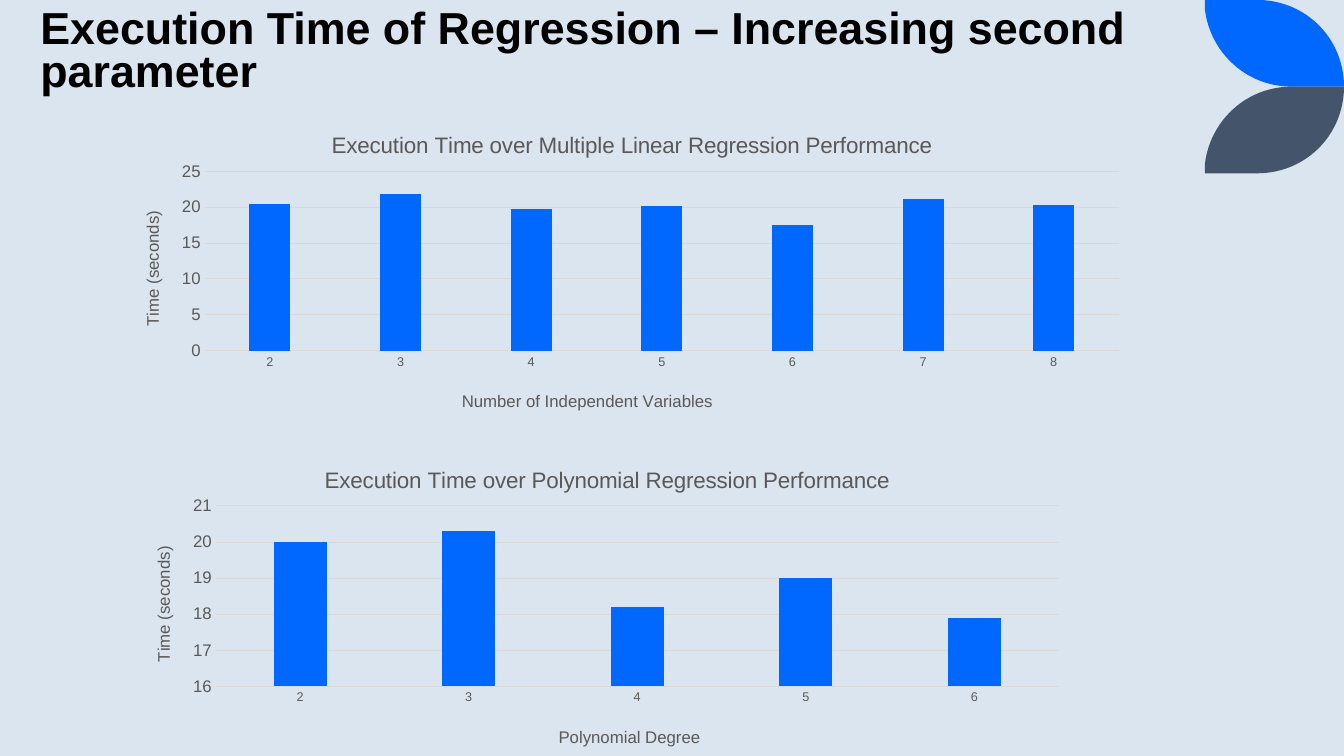
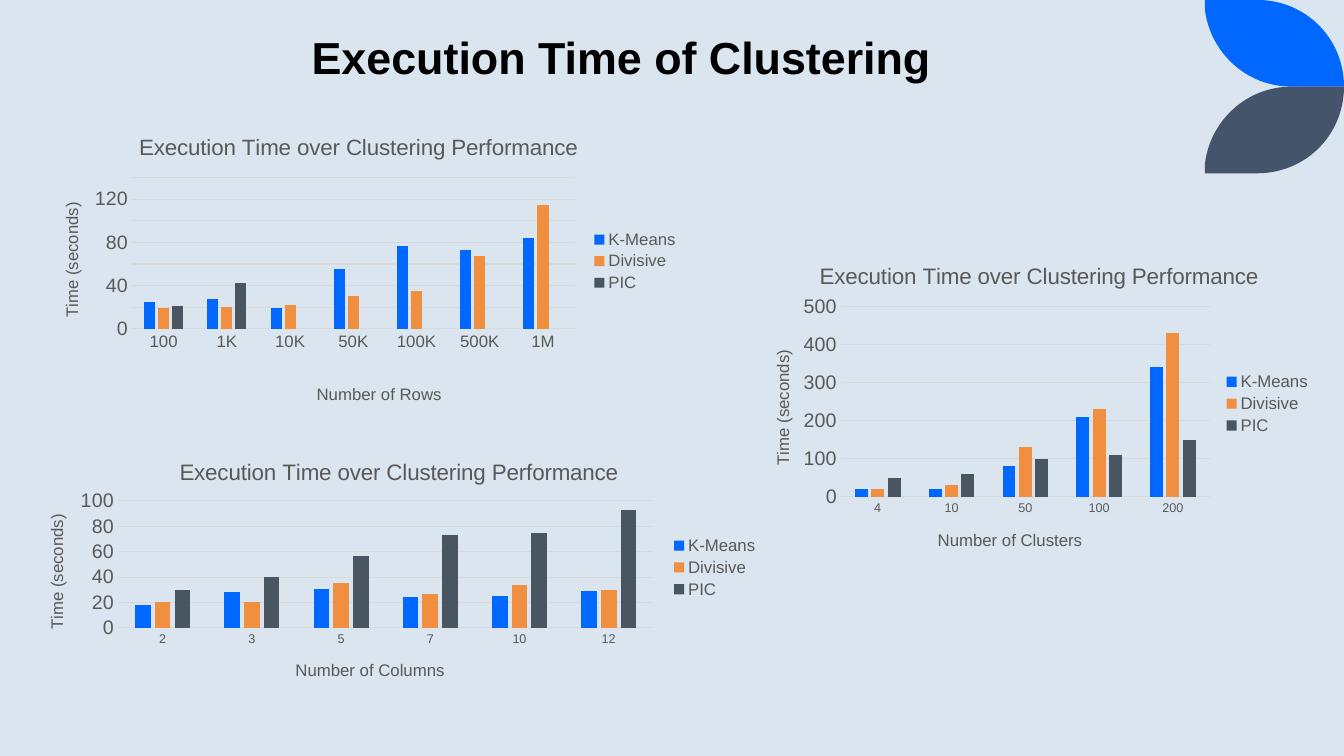
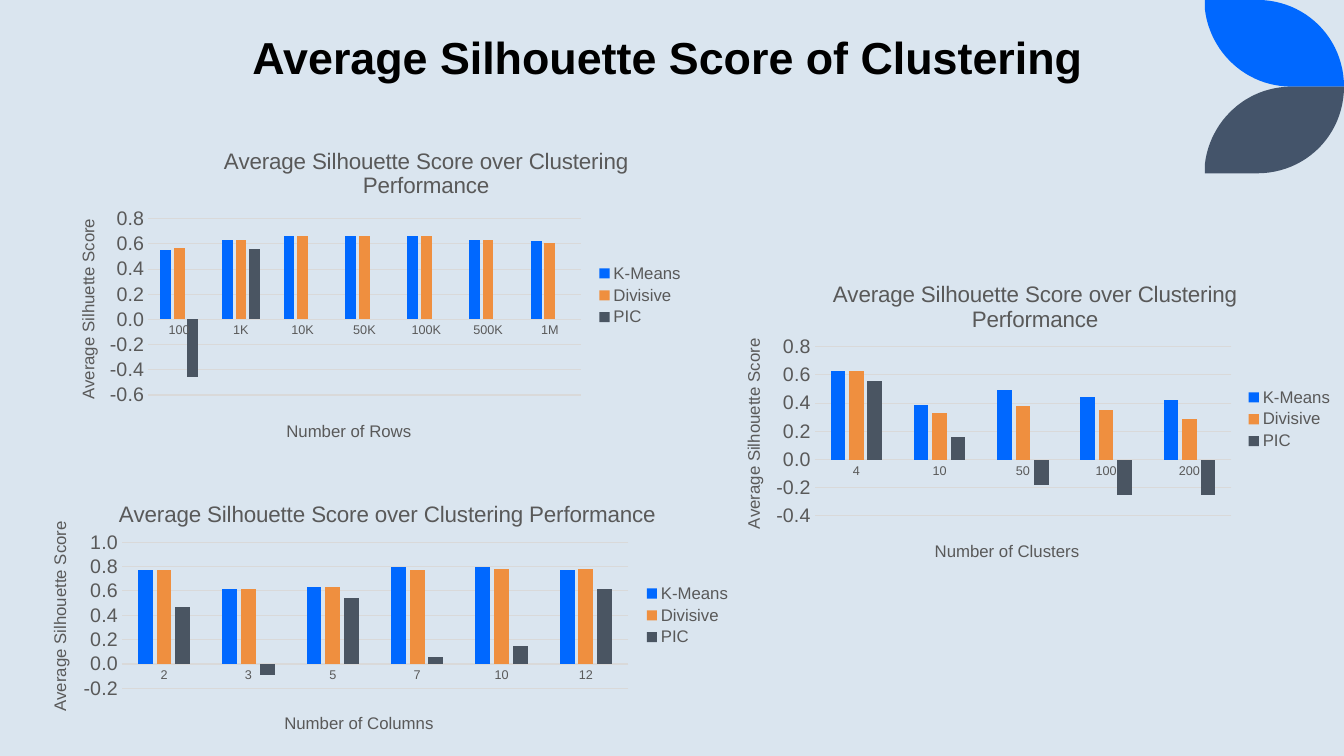
from dataclasses import dataclass

from lxml.etree import SubElement
from pptx import Presentation
from pptx.chart.data import CategoryChartData
from pptx.dml.color import RGBColor
from pptx.enum.chart import XL_CHART_TYPE, XL_LEGEND_POSITION, XL_TICK_MARK
from pptx.enum.text import MSO_ANCHOR, MSO_AUTO_SIZE, PP_ALIGN
from pptx.oxml.ns import qn
from pptx.util import Inches, Pt


@dataclass(frozen=True)
class Theme:
    font: str = "Arial"
    background: str = "DAE5EF"
    upper_leaf: str = "0068FF"
    lower_leaf: str = "44546A"
    heading: str = "000000"
    chart_text: str = "595959"
    grid: str = "D9D9D9"
    series: tuple = ("0068FF", "EF8F3F", "4A5562")
    heading_size: int = 32
    chart_title_size: int = 16
    label_size: int = 12
    small_label_size: int = 9
    large_label_size: int = 14


THEME = Theme()
ALGORITHMS = ("K-Means", "Divisive", "PIC")
ROWS = ("100", "1K", "10K", "50K", "100K", "500K", "1M")
COLUMNS = ("2", "3", "5", "7", "10", "12")
CLUSTERS = ("4", "10", "50", "100", "200")
CLUSTERING_TIME = "Execution Time over Clustering Performance"
CLUSTERING_SCORE = "Average Silhouette Score over Clustering Performance"
SECONDS = "Time (seconds)"
SCORE = "Average Silhouette Score"


@dataclass
class BarChart:
    """Content and placement of one chart; all places are slide inches."""
    box: tuple             # left, top, width, height
    plot: tuple            # left, top, right, bottom
    title: str
    title_at: tuple
    category_title: str
    category_title_at: tuple
    value_title: str
    value_title_at: tuple
    categories: tuple
    series: dict
    scale: tuple           # minimum, maximum, step
    number_format: str = "0"
    category_size: int = THEME.small_label_size
    value_size: int = THEME.large_label_size


def by_algorithm(*values):
    return dict(zip(ALGORITHMS, values))


def color(code):
    return RGBColor.from_string(code)


def style_font(font, size, code, bold=False):
    font.name, font.size, font.bold = THEME.font, Pt(size), bold
    font.color.rgb = color(code)


def curve(*points, steps=24):
    """Points along a cubic Bezier curve."""
    def at(t):
        weights = ((1 - t) ** 3, 3 * t * (1 - t) ** 2, 3 * t * t * (1 - t), t ** 3)
        return tuple(sum(w * p[i] for w, p in zip(weights, points)) for i in (0, 1))
    return [at(step / steps) for step in range(steps + 1)]


def add_leaves(slide, layout):
    """Draw the corner leaves and move them to the layout."""
    middle = 0.86
    outline = [(11.95, 0)]
    outline += curve((12.47, 0), (12.95, 0), (13.33, 0.38), (13.33, middle))
    outline += curve((12.81, middle), (12.36, middle), (12, 0.52), (11.95, 0.09))
    mirrored = [(x, 2 * middle - y) for x, y in outline]
    for points, fill in ((outline, THEME.upper_leaf), (mirrored, THEME.lower_leaf)):
        (start_x, start_y), *rest = [(Inches(x), Inches(y)) for x, y in points]
        builder = slide.shapes.build_freeform(start_x, start_y)
        builder.add_line_segments(rest, close=True)
        leaf = builder.convert_to_shape()
        leaf.shadow.inherit = False
        leaf.fill.solid()
        leaf.fill.fore_color.rgb = color(fill)
        leaf.line.fill.background()
        layout.shapes.element.append(leaf.element)


def set_heading(slide, text, box, align=PP_ALIGN.CENTER):
    heading = slide.shapes.title
    heading.left, heading.top, heading.width, heading.height = map(Inches, box)
    frame = heading.text_frame
    frame.text = text
    frame.word_wrap = True
    frame.auto_size = MSO_AUTO_SIZE.NONE
    frame.vertical_anchor = MSO_ANCHOR.BOTTOM
    paragraph = frame.paragraphs[0]
    paragraph.alignment = align
    paragraph.line_spacing = 0.8
    style_font(paragraph.font, THEME.heading_size, THEME.heading, bold=True)


def set_layout(parent, index, box, corner, far_corner=None):
    """Fix a chart part at slide inches, as fractions of the chart box."""
    for previous in parent.findall(qn("c:layout")):
        parent.remove(previous)
    left, top, width, height = box
    x, y = corner
    settings = {"xMode": "edge", "yMode": "edge",
                "x": (x - left) / width, "y": (y - top) / height}
    if far_corner:
        settings = {"layoutTarget": "inner", **settings,
                    "w": (far_corner[0] - x) / width,
                    "h": (far_corner[1] - y) / height}
    layout = SubElement(parent, qn("c:layout"))
    manual = SubElement(layout, qn("c:manualLayout"))
    for tag, value in settings.items():
        text = value if isinstance(value, str) else f"{value:.4f}"
        SubElement(manual, qn(f"c:{tag}")).set("val", text)
    parent.insert(index, layout)


def set_chart_label(label, text, size, box, corner, rotated=False):
    label.text_frame.text = text
    style_font(label.text_frame.paragraphs[0].font, size, THEME.chart_text)
    set_layout(label.element, 1, box, corner)
    if rotated:
        body = label.element.find(".//" + qn("a:bodyPr"))
        body.set("rot", "-5400000")
        body.set("vert", "horz")


def style_axis(axis, size):
    axis.major_tick_mark = axis.minor_tick_mark = XL_TICK_MARK.NONE
    style_font(axis.tick_labels.font, size, THEME.chart_text)


def style_line(line):
    line.color.rgb = color(THEME.grid)
    line.width = Pt(0.75)


def add_bar_chart(slide, content):
    data = CategoryChartData()
    data.categories = content.categories
    for name, values in content.series.items():
        gaps = len(content.categories) - len(values)
        data.add_series(name, (*values, *[None] * gaps))
    box = content.box
    chart = slide.shapes.add_chart(
        XL_CHART_TYPE.COLUMN_CLUSTERED, *map(Inches, box), data).chart
    style_font(chart.font, 10, THEME.heading)
    set_chart_label(chart.chart_title, content.title, THEME.chart_title_size,
                    box, content.title_at)
    chart.chart_title.include_in_layout = False

    bars = chart.plots[0]
    bars.gap_width, bars.overlap, bars.vary_by_categories = 219, -27, False
    for series, fill in zip(bars.series, THEME.series):
        series.format.fill.solid()
        series.format.fill.fore_color.rgb = color(fill)
        series.invert_if_negative = False
    set_layout(chart.element.find(".//" + qn("c:plotArea")), 0, box,
               content.plot[:2], content.plot[2:])

    category_axis, value_axis = chart.category_axis, chart.value_axis
    style_axis(category_axis, content.category_size)
    style_line(category_axis.format.line)
    set_chart_label(category_axis.axis_title, content.category_title,
                    THEME.label_size, box, content.category_title_at)
    style_axis(value_axis, content.value_size)
    value_axis.format.line.fill.background()
    style_line(value_axis.major_gridlines.format.line)
    (value_axis.minimum_scale, value_axis.maximum_scale,
     value_axis.major_unit) = content.scale
    value_axis.tick_labels.number_format = content.number_format
    value_axis.tick_labels.number_format_is_linked = False
    set_chart_label(value_axis.axis_title, content.value_title, THEME.label_size,
                    box, content.value_title_at, rotated=True)

    chart.has_legend = len(content.series) > 1
    if chart.has_legend:
        chart.legend.position = XL_LEGEND_POSITION.RIGHT
        chart.legend.include_in_layout = False
        style_font(chart.legend.font, THEME.label_size, THEME.chart_text)


REGRESSION_CHARTS = (
    BarChart(
        box=(1.16, 1.1, 10.15, 3.08), plot=(2.03, 1.7, 11.1, 3.48),
        title="Execution Time over Multiple Linear Regression Performance",
        title_at=(3.25, 1.26),
        category_title="Number of Independent Variables",
        category_title_at=(4.55, 3.85),
        value_title=SECONDS, value_title_at=(1.38, 2.06),
        categories=("2", "3", "4", "5", "6", "7", "8"),
        series={"Series 1": (20.4, 21.9, 19.7, 20.1, 17.5, 21.1, 20.3)},
        scale=(0, 25, 5), value_size=THEME.label_size),
    BarChart(
        box=(1.27, 4.42, 9.42, 3.08), plot=(2.14, 5.02, 10.5, 6.81),
        title="Execution Time over Polynomial Regression Performance",
        title_at=(3.18, 4.58),
        category_title="Polynomial Degree", category_title_at=(5.51, 7.18),
        value_title=SECONDS, value_title_at=(1.49, 5.39),
        categories=("2", "3", "4", "5", "6"),
        series={"Series 1": (20, 20.3, 18.2, 19, 17.9)},
        scale=(16, 21, 1), value_size=THEME.label_size),
)

TIME_CHARTS = (
    BarChart(
        box=(0.36, 1.17, 6.48, 2.88), plot=(1.31, 1.77, 5.7, 3.29),
        title=CLUSTERING_TIME, title_at=(1.34, 1.28),
        category_title="Number of Rows", category_title_at=(3.11, 3.81),
        value_title=SECONDS, value_title_at=(0.58, 2),
        categories=ROWS,
        series=by_algorithm((25, 28, 19, 55, 77, 73, 84),
                            (19, 20, 22, 30, 35, 67, 115), (21, 42)),
        scale=(0, 140, 20), category_size=THEME.label_size),
    BarChart(
        box=(0.2, 4.34, 7.43, 2.58), plot=(1.17, 4.97, 6.48, 6.23),
        title=CLUSTERING_TIME, title_at=(1.74, 4.5),
        category_title="Number of Columns", category_title_at=(2.9, 6.52),
        value_title=SECONDS, value_title_at=(0.43, 5.07),
        categories=COLUMNS,
        series=by_algorithm((18, 28, 31, 24, 25, 29), (20, 20, 35, 27, 34, 30),
                            (30, 40, 57, 73, 75, 93)),
        scale=(0, 100, 20)),
    BarChart(
        box=(7.4, 2.38, 5.71, 3.25), plot=(8.34, 3.04, 12, 4.93),
        title=CLUSTERING_TIME, title_at=(8.09, 2.56),
        category_title="Number of Clusters", category_title_at=(9.27, 5.23),
        value_title=SECONDS, value_title_at=(7.63, 3.44),
        categories=CLUSTERS,
        series=by_algorithm((20, 20, 80, 210, 340), (20, 30, 130, 230, 430),
                            (50, 60, 100, 110, 150)),
        scale=(0, 500, 100)),
)

SCORE_CHARTS = (
    BarChart(
        box=(0.5, 1.31, 6.39, 3.24), plot=(1.47, 2.17, 5.76, 3.92),
        title=CLUSTERING_SCORE, title_at=(2.18, 1.42),
        category_title="Number of Rows", category_title_at=(2.81, 4.14),
        value_title="Average Silhuette Score", value_title_at=(0.74, 2.14),
        categories=ROWS,
        series=by_algorithm((0.55, 0.63, 0.66, 0.66, 0.66, 0.63, 0.62),
                            (0.57, 0.63, 0.66, 0.66, 0.66, 0.63, 0.61),
                            (-0.46, 0.56)),
        scale=(-0.6, 0.8, 0.2), number_format="0.0"),
    BarChart(
        box=(0.23, 4.77, 7.13, 2.67), plot=(1.21, 5.38, 6.23, 6.83),
        title=CLUSTERING_SCORE, title_at=(1.14, 4.92),
        category_title="Number of Columns", category_title_at=(2.79, 7.04),
        value_title=SCORE, value_title_at=(0.46, 5.14),
        categories=COLUMNS,
        series=by_algorithm((0.77, 0.62, 0.63, 0.8, 0.8, 0.77),
                            (0.77, 0.62, 0.63, 0.77, 0.78, 0.78),
                            (0.47, -0.09, 0.54, 0.06, 0.15, 0.62)),
        scale=(-0.2, 1, 0.2), number_format="0.0"),
    BarChart(
        box=(7.12, 2.58, 6.21, 3.16), plot=(8.08, 3.44, 12.21, 5.12),
        title=CLUSTERING_SCORE, title_at=(8.22, 2.74),
        category_title="Number of Clusters", category_title_at=(9.24, 5.34),
        value_title=SCORE, value_title_at=(7.34, 3.33),
        categories=CLUSTERS,
        series=by_algorithm((0.63, 0.39, 0.49, 0.44, 0.42),
                            (0.63, 0.33, 0.38, 0.35, 0.29),
                            (0.56, 0.16, -0.18, -0.25, -0.25)),
        scale=(-0.4, 0.8, 0.2), number_format="0.0"),
)


def main():
    deck = Presentation()
    deck.slide_width, deck.slide_height = Inches(13.33), Inches(7.5)
    layout = deck.slide_layouts.get_by_name("Title Only")
    layout.background.fill.solid()
    layout.background.fill.fore_color.rgb = color(THEME.background)

    regression, time, score = (deck.slides.add_slide(layout) for _ in range(3))
    add_leaves(regression, layout)
    set_heading(regression,
                "Execution Time of Regression – Increasing second parameter",
                (0.3, 0.15, 12.15, 0.85), PP_ALIGN.LEFT)
    set_heading(time, "Execution Time of Clustering", (0.36, 0.15, 11.61, 0.72))
    set_heading(score, "Average Silhouette Score of Clustering",
                (1.28, 0.15, 10.69, 0.72))
    for slide, charts in ((regression, REGRESSION_CHARTS), (time, TIME_CHARTS),
                          (score, SCORE_CHARTS)):
        for content in charts:
            add_bar_chart(slide, content)
    deck.save("out.pptx")


if __name__ == "__main__":
    main()
